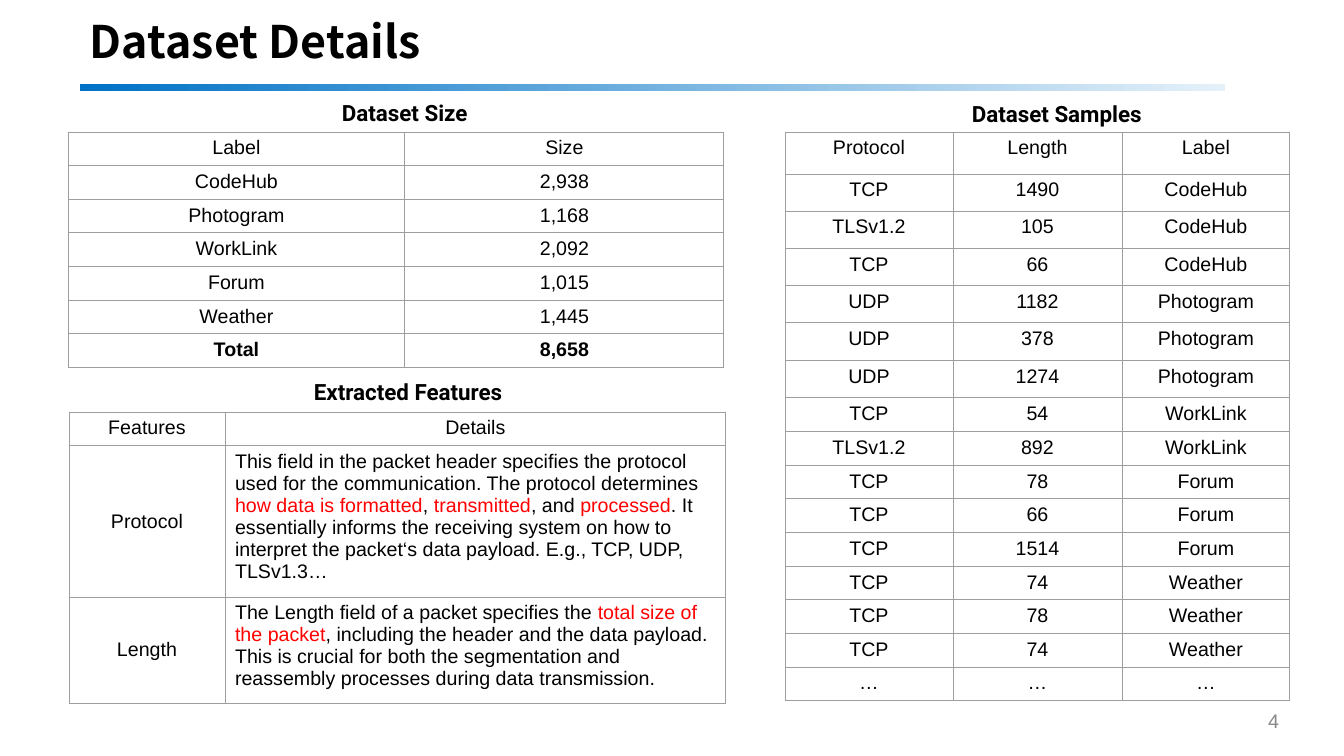
from lxml import etree
from pptx import Presentation, util as u
from pptx.dml.color import RGBColor
from pptx.enum import shapes, text
from pptx.oxml.ns import qn

THEME = dict(
    ink="000000", mark="FF0000", edge="9E9E9E", page="888888",
    start="0072C6", end="E5F1F9",
    body="Arial", head="Roboto", title="Noto Sans CJK SC",
    small=14, mid=16, large=32, line=0.75,
)

LEFT, CENTER, RIGHT = text.PP_ALIGN.LEFT, text.PP_ALIGN.CENTER, text.PP_ALIGN.RIGHT
TOP, MIDDLE = text.MSO_ANCHOR.TOP, text.MSO_ANCHOR.MIDDLE

SIZES = [
    ("Label", "Size"),
    ("CodeHub", "2,938"),
    ("Photogram", "1,168"),
    ("WorkLink", "2,092"),
    ("Forum", "1,015"),
    ("Weather", "1,445"),
    ("Total", "8,658"),
]

# Odd-numbered parts of a list are highlighted.
FEATURES = [
    ("Features", "Details"),
    ("Protocol", [
        "This field in the packet header specifies the protocol used for the "
        "communication. The protocol determines ",
        "how data is formatted", ", ", "transmitted", ", and ", "processed",
        ". It essentially informs the receiving system on how to interpret "
        "the packet‘s data payload. E.g., TCP, UDP, TLSv1.3…",
    ]),
    ("Length", [
        "The Length field of a packet specifies the ",
        "total size of the packet",
        ", including the header and the data payload. This is crucial for both "
        "the segmentation and reassembly processes during data transmission.",
    ]),
]

SAMPLES = [
    ("Protocol", "Length", "Label"),
    ("TCP", "1490", "CodeHub"),
    ("TLSv1.2", "105", "CodeHub"),
    ("TCP", "66", "CodeHub"),
    ("UDP", "1182", "Photogram"),
    ("UDP", "378", "Photogram"),
    ("UDP", "1274", "Photogram"),
    ("TCP", "54", "WorkLink"),
    ("TLSv1.2", "892", "WorkLink"),
    ("TCP", "78", "Forum"),
    ("TCP", "66", "Forum"),
    ("TCP", "1514", "Forum"),
    ("TCP", "74", "Weather"),
    ("TCP", "78", "Weather"),
    ("TCP", "74", "Weather"),
    ("…", "…", "…"),
]

TABLES = [
    (SIZES, (68, 132), [337, 319], [32] * 7),
    (FEATURES, (69, 412), [156, 501], [32, 142, 106]),
    (SAMPLES, (785, 132), [168, 169, 168], [42] + [37, 38, 37] * 2 + [32] * 9),
]

HEADS = [
    ("Dataset Size", (332, 94, 176, 37)),
    ("Extracted Features", (304, 373, 250, 37)),
    ("Dataset Samples", (962, 95, 250, 37)),
]


def px(n):
    return round(n * 914400 / 100.8)


def style(run, size, font, color, bold=False):
    run.font.size = u.Pt(size)
    run.font.name = font
    run.font.bold = bold
    run.font.color.rgb = RGBColor.from_string(color)


def label(slide, words, box, size, font, color, bold=True, align=LEFT, anchor=TOP):
    frame = slide.shapes.add_textbox(*map(px, box)).text_frame
    frame.word_wrap = True
    frame.vertical_anchor = anchor
    frame.text = words
    para = frame.paragraphs[0]
    para.alignment = align
    style(para.runs[0], size, font, color, bold)
    return para


def border(cell):
    props = cell._tc.get_or_add_tcPr()
    for spot, side in enumerate(("lnL", "lnR", "lnT", "lnB")):
        line = etree.Element(qn("a:" + side), w=str(u.Pt(THEME["line"])))
        fill = etree.SubElement(line, qn("a:solidFill"))
        etree.SubElement(fill, qn("a:srgbClr"), val=THEME["edge"])
        props.insert(spot, line)


def fill_cell(cell, value, bold, anchor):
    rich = isinstance(value, list)
    cell.fill.background()
    border(cell)
    cell.vertical_anchor = anchor
    para = cell.text_frame.paragraphs[0]
    para.alignment = LEFT if rich else CENTER
    for k, part in enumerate(value if rich else [value]):
        run = para.add_run()
        run.text = part
        color = THEME["mark"] if k % 2 else THEME["ink"]
        style(run, THEME["small"], THEME["body"], color, bold)


def grid(slide, data, spot, cols, rows):
    box = (*spot, sum(cols), sum(rows))
    table = slide.shapes.add_table(len(rows), len(cols), *map(px, box)).table
    table.first_row = table.horz_banding = False
    for col, width in zip(table.columns, cols):
        col.width = px(width)
    for r, (row, high) in enumerate(zip(data, rows)):
        table.rows[r].height = px(high)
        tall = isinstance(row[-1], list)
        for c, value in enumerate(row):
            anchor = MIDDLE if tall and c == 0 else TOP
            fill_cell(table.cell(r, c), value, row[0] == "Total", anchor)


def main():
    deck = Presentation()
    deck.slide_width, deck.slide_height = px(1344), px(756)
    slide = deck.slides.add_slide(deck.slide_layouts[6])

    rule = slide.shapes.add_shape(
        shapes.MSO_SHAPE.RECTANGLE, *map(px, (80, 84, 1145, 7)))
    rule.shadow.inherit = False
    rule.line.fill.background()
    rule.fill.gradient()
    rule.fill.gradient_angle = 0
    for stop, pos, key in zip(rule.fill.gradient_stops, (0, 1), ("start", "end")):
        stop.position = pos
        stop.color.rgb = RGBColor.from_string(THEME[key])

    title = label(slide, "Dataset Details", (80, 18, 1250, 52), THEME["large"],
                  THEME["title"], THEME["ink"], anchor=MIDDLE)
    title.line_spacing = 0.9
    label(slide, "4", (987, 701, 302, 40), THEME["small"], THEME["body"],
          THEME["page"], False, RIGHT, MIDDLE)

    for part in TABLES:
        grid(slide, *part)
    for words, box in HEADS:
        label(slide, words, box, THEME["mid"], THEME["head"], THEME["ink"])

    deck.save("out.pptx")


if __name__ == "__main__":
    main()
